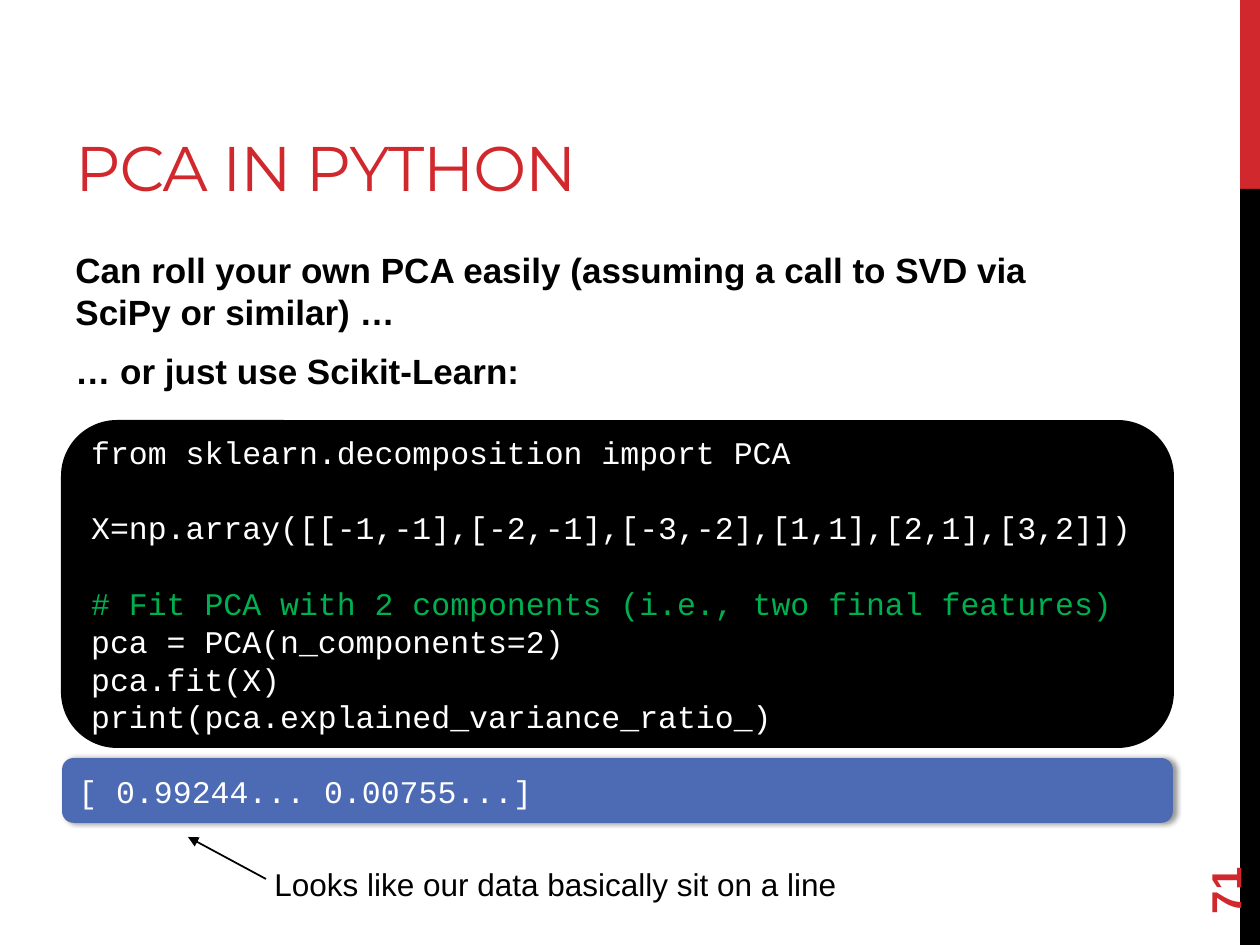
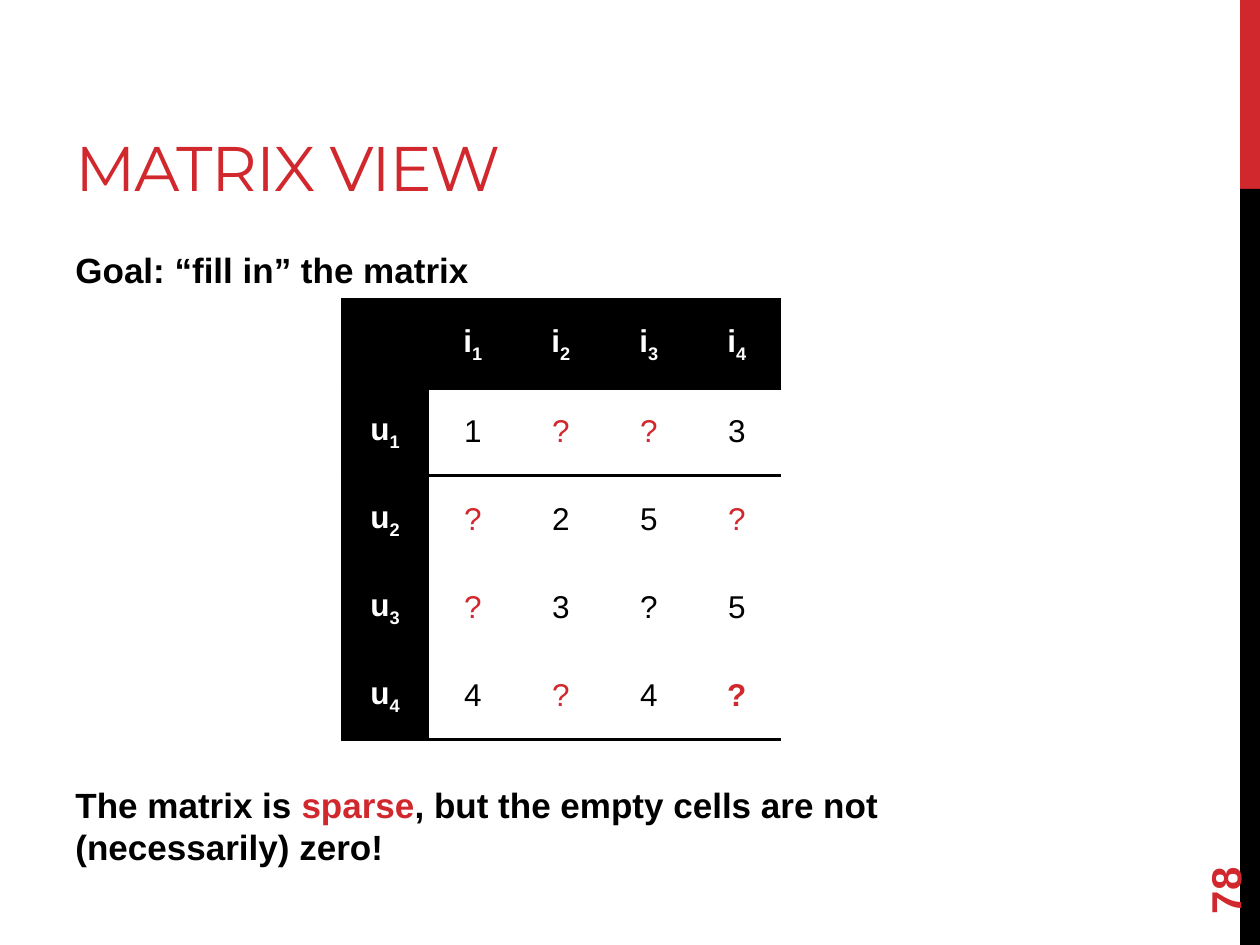
from lxml import etree
from pptx import Presentation
from pptx.dml.color import RGBColor
from pptx.enum.shapes import MSO_CONNECTOR, MSO_SHAPE
from pptx.enum.text import MSO_ANCHOR, PP_ALIGN
from pptx.oxml.ns import qn
from pptx.util import Pt

RECTANGLE, ROUNDED = MSO_SHAPE.RECTANGLE, MSO_SHAPE.ROUNDED_RECTANGLE
STRAIGHT = MSO_CONNECTOR.STRAIGHT
TOP, MIDDLE, BOTTOM = MSO_ANCHOR.TOP, MSO_ANCHOR.MIDDLE, MSO_ANCHOR.BOTTOM
LEFT, CENTER = PP_ALIGN.LEFT, PP_ALIGN.CENTER
PX = 914400 / 126
NO_STYLE_TABLE = "{2D5ABB26-0587-4C30-8999-92F81FD0307C}"


class Theme:
    red, black, white = "D1282E", "000000", "FFFFFF"
    green, blue, blue_edge = "00B050", "4D6BB5", "4E6AAE"
    code_pitch = Pt(21.6)
    title = {"font": {"name": "Montserrat", "size": Pt(36)}, "color": red,
             "run": {"spc": "-60"}, "anchor": BOTTOM}
    body = {"font": {"name": "Arial", "size": Pt(20), "bold": True}, "color": black,
            "para": {"line_spacing": Pt(24), "space_before": Pt(4), "space_after": Pt(6)}}
    number = {"font": {"name": "Arial", "size": Pt(24), "bold": True}, "color": red,
              "anchor": MIDDLE}
    code = {"font": {"name": "Courier New", "size": Pt(18)}, "color": white,
            "para": {"line_spacing": code_pitch}, "anchor": MIDDLE}
    output = {"font": {"name": "Courier New", "size": Pt(18)}, "color": white,
              "anchor": MIDDLE}
    note = {"font": {"name": "Arial", "size": Pt(18)}, "color": black}
    cell = {"font": {"name": "Arial", "size": Pt(18)}, "color": black,
            "para": {"alignment": CENTER}}


def add_box(page, place, fill=None, shape=RECTANGLE, edge=None, edge_width=1):
    """Add a filled shape, or a text box when there is no fill."""
    place = [round(length * PX) for length in place]
    if fill is None:
        return page.shapes.add_textbox(*place)
    box = page.shapes.add_shape(shape, *place)
    box.shadow.inherit = False
    box.fill.solid()
    box.fill.fore_color.rgb = RGBColor.from_string(fill)
    if edge:
        box.line.color.rgb = RGBColor.from_string(edge)
        box.line.width = Pt(edge_width)
    else:
        box.line.fill.background()
    return box


def write(frame, paragraphs, look):
    """Fill a frame; each paragraph is a list of (text, changes to the look)."""
    frame.word_wrap = True
    frame.vertical_anchor = look.get("anchor", TOP)
    for index, spans in enumerate(paragraphs):
        para = frame.add_paragraph() if index else frame.paragraphs[0]
        for name, value in {"alignment": LEFT, **look.get("para", {})}.items():
            setattr(para, name, value)
        if index == 0:
            para.space_before = Pt(0)
        for text, changes in spans:
            span = para.add_run()
            span.text = text
            for name, value in {**look["font"], **changes.get("font", {})}.items():
                setattr(span.font, name, value)
            color = changes.get("color", look["color"])
            span.font.color.rgb = RGBColor.from_string(color)
            for name, value in {**look.get("run", {}), **changes.get("run", {})}.items():
                span._r.get_or_add_rPr().set(name, value)


deck = Presentation()
deck.slide_width, deck.slide_height = round(1260 * PX), round(945 * PX)

# Shared frame: side bands, title, body and page number
contents = [
    ("PCA IN PYTHON", "71", [
        [("Can roll your own PCA easily (assuming a call to SVD via SciPy or similar) …", {})],
        [("… or just use Scikit-Learn:", {})],
    ]),
    ("MATRIX VIEW", "78", [
        [("Goal: “fill in” the matrix", {})],
        [("The matrix is ", {}), ("sparse", {"color": Theme.red}),
         (", but the empty cells are not (necessarily) zero!", {})],
    ]),
]
pages, bodies = [], []
for title, number, paragraphs in contents:
    page = deck.slides.add_slide(deck.slide_layouts[6])
    add_box(page, (1240, 0, 20, 189), Theme.red)
    add_box(page, (1240, 189, 20, 756), Theme.black)
    write(add_box(page, (63, 21, 798, 189)).text_frame, [[(title, {})]], Theme.title)
    body = add_box(page, (63, 242, 1050, 602))
    write(body.text_frame, paragraphs, Theme.body)
    number_box = add_box(page, (1134, 811, 181, 50))
    number_box.rotation = 270
    write(number_box.text_frame, [[(number, {})]], Theme.number)
    pages.append(page)
    bodies.append(body)
pca_page, matrix_page = pages

# PCA slide: code panel, with a line of space before the second and third lines
code_lines = [
    ("from sklearn.decomposition import PCA", {}),
    ("X=np.array([[-1,-1],[-2,-1],[-3,-2],[1,1],[2,1],[3,2]])", {}),
    ("# Fit PCA with 2 components (i.e., two final features)", {"color": Theme.green}),
    ("pca = PCA(n_components=2)", {}),
    ("pca.fit(X)", {}),
    ("print(pca.explained_variance_ratio_)", {}),
]
code_box = add_box(pca_page, (63, 422, 1109, 324), Theme.black, ROUNDED, Theme.black, 2.25)
write(code_box.text_frame, [[line] for line in code_lines], Theme.code)
for para in code_box.text_frame.paragraphs[1:3]:
    para.space_before = Theme.code_pitch

# PCA slide: output panel with a soft shadow
output_box = add_box(pca_page, (63, 759, 1109, 63), Theme.blue, ROUNDED, Theme.blue_edge)
write(output_box.text_frame, [[("[ 0.99244... 0.00755...]", {})]], Theme.output)
effects = output_box._element.spPr.find(qn("a:effectLst"))
shadow = etree.SubElement(effects, qn("a:outerShdw"), blurRad=str(Pt(3.1)),
                          dist=str(Pt(1.8)), dir="0", rotWithShape="0")
shade = etree.SubElement(shadow, qn("a:srgbClr"), val=Theme.black)
etree.SubElement(shade, qn("a:alpha"), val="40000")

# PCA slide: arrow and remark
ends = [round(length * PX) for length in (266, 879, 188, 837)]
arrow = pca_page.shapes.add_connector(STRAIGHT, *ends)
arrow.line.color.rgb = RGBColor.from_string(Theme.black)
arrow.line.width = Pt(1)
etree.SubElement(arrow.line._get_or_add_ln(), qn("a:tailEnd"), type="triangle")
etree.SubElement(arrow._element.spPr, qn("a:effectLst"))
remark = add_box(pca_page, (262, 859, 658, 50))
write(remark.text_frame, [[("Looks like our data basically sit on a line", {})]], Theme.note)

# Matrix slide: room for the table between the two body paragraphs
bodies[1].text_frame.paragraphs[1].space_before = Pt(276)

# Matrix slide: ratings table
ratings = ["1??3", "?25?", "?3?5", "4?4?"]
side = 88
count = len(ratings) + 1
place = [round(length * PX) for length in (341, 300, side * count, side * count)]
grid = matrix_page.shapes.add_table(count, count, *place)
table = grid.table
table.first_row = table.horz_banding = False
table._tbl.tblPr.find(qn("a:tableStyleId")).text = NO_STYLE_TABLE
for row in range(count):
    table.rows[row].height = table.columns[row].width = round(side * PX)
    for column in range(count):
        cell = table.cell(row, column)
        is_header = row == 0 or column == 0
        cell.vertical_anchor = MIDDLE

        # Rules above and below the header row and under the last row
        rules = {0: ["a:lnT", "a:lnB"], 1: ["a:lnT"], count - 1: ["a:lnB"]}
        for tag in rules.get(row, []):
            rule = etree.SubElement(cell._tc.get_or_add_tcPr(), qn(tag), w=str(Pt(2)))
            paint = etree.SubElement(rule, qn("a:solidFill"))
            etree.SubElement(paint, qn("a:srgbClr"), val=Theme.black)
        cell.fill.solid()
        cell.fill.fore_color.rgb = RGBColor.from_string(
            Theme.black if is_header else Theme.white)

        if row == column == 0:
            continue
        if is_header:
            label = {"font": {"bold": True}, "color": Theme.white}
            spans = [("i" if row == 0 else "u", label),
                     (str(row + column), {**label, "run": {"baseline": "-25000"}})]
        else:
            rating = ratings[row - 1][column - 1]
            is_red = rating == "?" and (row, column) != (3, 3)
            is_target = row == column == count - 1
            spans = [(rating, {"font": {"bold": is_target},
                               "color": Theme.red if is_red else Theme.black})]
        write(cell.text_frame, [spans], {**Theme.cell, "anchor": MIDDLE})

deck.save("out.pptx")
